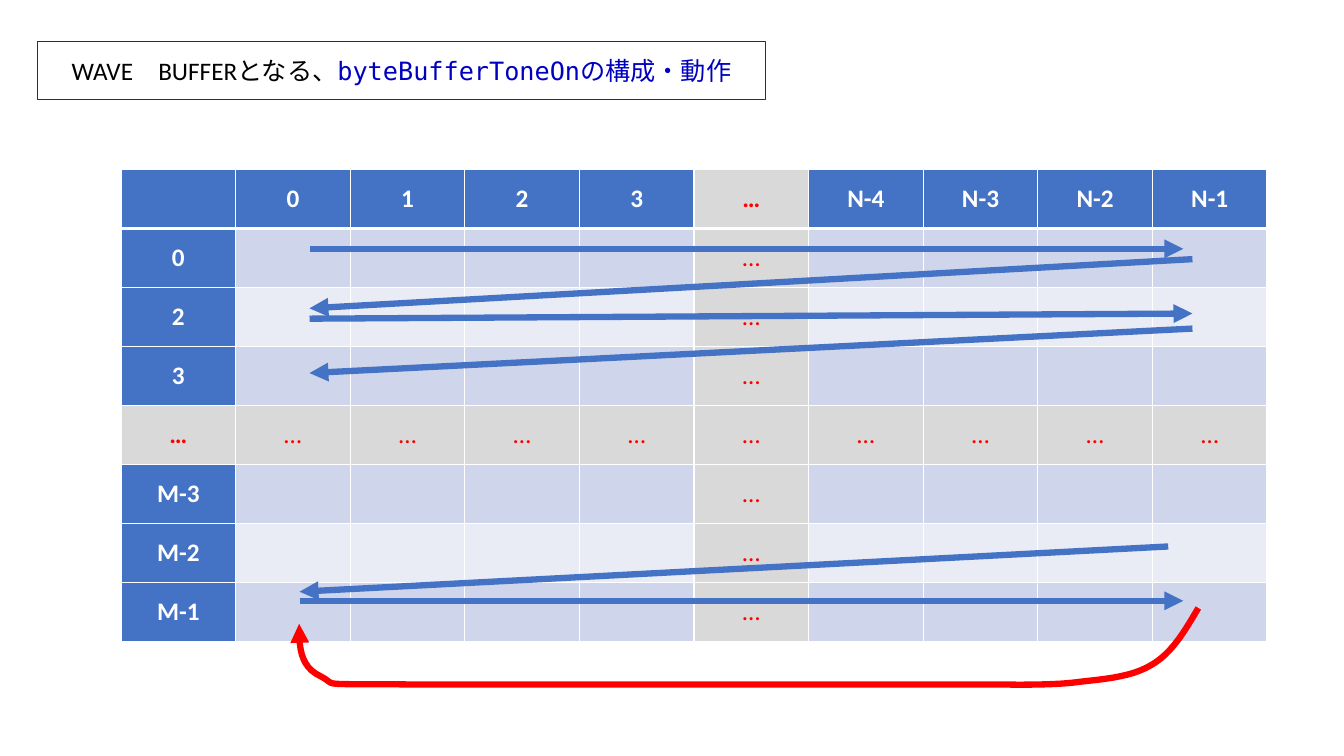
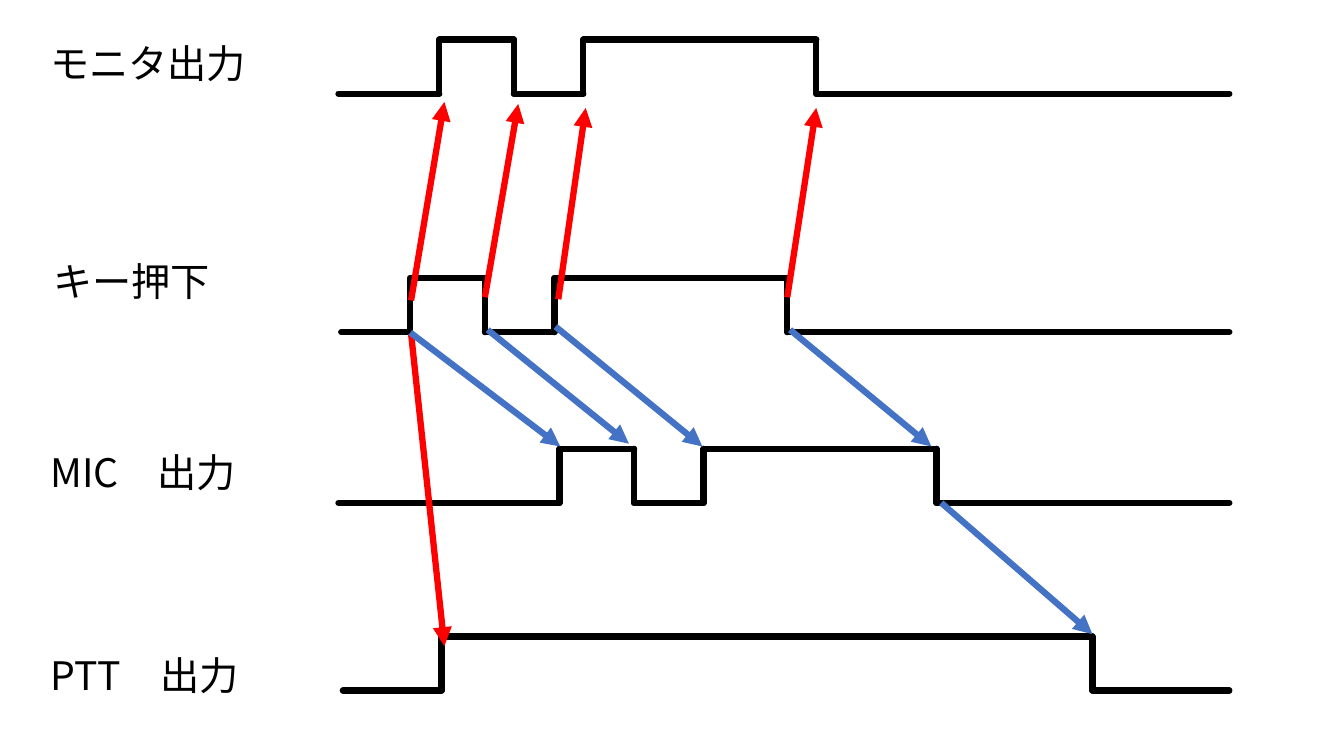
from lxml.etree import SubElement
from pptx import Presentation
from pptx.dml.color import RGBColor
from pptx.enum.shapes import MSO_CONNECTOR, MSO_SHAPE
from pptx.enum.text import MSO_ANCHOR, MSO_AUTO_SIZE, PP_ALIGN
from pptx.oxml.ns import qn
from pptx.util import Cm, Pt

BLACK = RGBColor(0x00, 0x00, 0x00)
WHITE = RGBColor(0xFF, 0xFF, 0xFF)
RED = RGBColor(0xFF, 0x00, 0x00)
BLUE = RGBColor(0x44, 0x72, 0xC4)
NAVY = RGBColor(0x1E, 0x32, 0x56)
CODE_BLUE = RGBColor(0x00, 0x00, 0xC0)
GREY = RGBColor(0xD9, 0xD9, 0xD9)
BANDS = (RGBColor(0xCF, 0xD5, 0xEA), RGBColor(0xE9, 0xEB, 0xF5))

BODY = {"name": "Calibri", "size": Pt(18)}
HEAD = {**BODY, "bold": True}
CODE = {"name": "DejaVu Sans Mono", "size": Pt(18)}
LABEL = {"name": "Noto Sans CJK JP", "size": Pt(28)}
STROKE = Pt(4.5)

TITLE = [
    ("WAVE　BUFFERとなる、", BODY, BLACK),
    ("byteBufferToneOnの構成・動作", CODE, CODE_BLUE),
]
DOTS = "…"
COLUMNS = ["", "0", "1", "2", "3", DOTS, "N-4", "N-3", "N-2", "N-1"]
ROWS = ["", "0", "2", "3", DOTS, "M-3", "M-2", "M-1"]
TABLE_BOX = (3.05, 4.27, 28.88, 11.89)
SCAN_ARROWS = [
    (7.8, 6.27, 29.82, 6.27),
    (30.05, 6.53, 7.8, 7.77),
    (7.8, 8.03, 30.05, 7.9),
    (30.05, 8.28, 7.8, 9.4),
    (7.55, 15.14, 29.82, 15.14),
    (29.44, 13.77, 7.55, 14.91),
]
RETURN_START = (30.2, 15.32)
RETURN_CURVES = [
    ((29.87, 15.88), (29.54, 16.46), (29.01, 16.76)),
    ((28.47, 17.09), (27.66, 17.12), (27.05, 17.2)),
    ((26.44, 17.27), (25.4, 17.25), (25.4, 17.25)),
    ((25.4, 17.25), (10.67, 17.25), (10.67, 17.25)),
    ((7.77, 17.22), (8.59, 17.3), (8.08, 17.04)),
    ((7.54, 16.79), (7.54, 16.26), (7.54, 15.72)),
]
CURVE_STEPS = 12

KEYING = (0, 1.88, 3.63, 9.5)
PTT_HOLD = (0, 16.4)
PULSE_HEIGHT = 1.36
WAVE_END = 30.98
SIGNALS = [
    ("モニタ出力", (1.02, 0.86, 6.02), 8.53, 11.07, 2.36, KEYING),
    ("キー押下", (1.09, 6.35, 5.26), 8.6, 10.34, 8.37, KEYING),
    ("MIC　出力", (1.02, 11.18, 5.26), 8.53, 14.1, 12.67, KEYING),
    ("PTT　出力", (1.02, 16.28, 5.26), 8.64, 11.13, 17.4, PTT_HOLD),
]
TIMING_ARROWS = {
    RED: [
        (10.36, 8.41, 11.2, 16.28),
        (10.36, 7.57, 11.2, 2.57),
        (12.22, 7.49, 13.06, 2.62),
        (14.07, 7.54, 14.76, 2.72),
        (19.84, 7.49, 20.57, 2.72),
    ],
    BLUE: [
        (23.72, 12.67, 27.53, 15.98),
        (10.34, 8.38, 14.12, 11.25),
        (12.29, 8.31, 15.85, 11.18),
        (14, 8.23, 17.7, 11.25),
        (19.91, 8.31, 23.47, 11.25),
    ],
}


def cms(values):
    return [Cm(v) for v in values]


def add_run(p, text, fmt, color):
    r = p.add_run()
    r.text = text
    for key, value in fmt.items():
        setattr(r.font, key, value)
    r.font.color.rgb = color
    SubElement(r.font._element, qn("a:ea"), typeface=fmt["name"])


def style_stroke(sp, color, arrow):
    sp.line.color.rgb = color
    sp.line.width = STROKE
    ln = sp.get_or_add_ln()
    if arrow:
        SubElement(ln, qn("a:tailEnd"), type="triangle")
    else:
        ln.set("cap", "rnd")


def add_line(s, ends, color, arrow=True):
    sp = s.shapes.add_connector(MSO_CONNECTOR.STRAIGHT, *cms(ends))
    style_stroke(sp, color, arrow)
    SubElement(sp._element.spPr, qn("a:effectLst"))


def add_title(s):
    sp = s.shapes.add_shape(MSO_SHAPE.RECTANGLE, *cms((0.94, 1.04, 18.36, 1.47)))
    sp.shadow.inherit = False
    sp.fill.background()
    sp.line.color.rgb = NAVY
    sp.line.width = Pt(1)
    tf = sp.text_frame
    tf.vertical_anchor = MSO_ANCHOR.MIDDLE
    p = tf.paragraphs[0]
    p.alignment = PP_ALIGN.CENTER
    for part in TITLE:
        add_run(p, *part)


def add_borders(cell, bottom):
    tcPr = cell._tc.get_or_add_tcPr()
    for side, width in (("L", 1), ("R", 1), ("T", 1), ("B", bottom)):
        ln = SubElement(tcPr, qn(f"a:ln{side}"), w=str(Pt(width)))
        SubElement(SubElement(ln, qn("a:solidFill")), qn("a:srgbClr"), val=str(WHITE))


def add_buffer_table(s):
    table = s.shapes.add_table(len(ROWS), len(COLUMNS), *cms(TABLE_BOX)).table
    for i, row in enumerate(ROWS):
        for j, column in enumerate(COLUMNS):
            cell = table.cell(i, j)
            header = i == 0 or j == 0
            skipped = DOTS in (row, column)
            add_borders(cell, 3 if i == 0 else 1)
            cell.fill.solid()
            cell.fill.fore_color.rgb = GREY if skipped else BLUE if header else BANDS[(i + 1) % 2]
            cell.vertical_anchor = MSO_ANCHOR.MIDDLE
            text = DOTS if skipped else row + column if header else ""
            p = cell.text_frame.paragraphs[0]
            p.alignment = PP_ALIGN.CENTER
            if text:
                add_run(p, text, HEAD if header else BODY, RED if skipped else WHITE)


def bezier(points, t):
    weights = ((1 - t) ** 3, 3 * t * (1 - t) ** 2, 3 * t * t * (1 - t), t ** 3)
    return tuple(Cm(sum(w * v for w, v in zip(weights, axis))) for axis in zip(*points))


def add_return_arrow(s):
    points, start = [], RETURN_START
    for curve in RETURN_CURVES:
        points += [bezier((start, *curve), n / CURVE_STEPS) for n in range(1, CURVE_STEPS + 1)]
        start = curve[-1]
    builder = s.shapes.build_freeform(*cms(RETURN_START))
    builder.add_line_segments(points, close=False)
    sp = builder.convert_to_shape()
    sp.shadow.inherit = False
    sp.fill.background()
    style_stroke(sp, RED, True)


def add_signal(s, label, place, start, first_edge, low, offsets):
    left, top, width = place
    tf = s.shapes.add_textbox(*cms((left, top, width, 1.45))).text_frame
    tf.word_wrap = True
    tf.auto_size = MSO_AUTO_SIZE.SHAPE_TO_FIT_TEXT
    add_run(tf.paragraphs[0], label, LABEL, BLACK)
    high = low - PULSE_HEIGHT
    x, level = start, low
    for offset in offsets:
        edge = first_edge + offset
        other = high if level == low else low
        add_line(s, (x, level, edge, level), BLACK, False)
        add_line(s, (edge, level, edge, other), BLACK, False)
        x, level = edge, other
    add_line(s, (x, level, WAVE_END, level), BLACK, False)


def build_buffer_slide(s):
    add_title(s)
    add_buffer_table(s)
    for ends in SCAN_ARROWS:
        add_line(s, ends, BLUE)
    add_return_arrow(s)


def build_timing_slide(s):
    for signal in SIGNALS:
        add_signal(s, *signal)
    for color, arrows in TIMING_ARROWS.items():
        for ends in arrows:
            add_line(s, ends, color)


def main():
    prs = Presentation()
    prs.slide_width, prs.slide_height = Cm(33.87), Cm(19.05)
    for build in (build_buffer_slide, build_timing_slide):
        build(prs.slides.add_slide(prs.slide_layouts[6]))
    prs.save("out.pptx")


if __name__ == "__main__":
    main()
